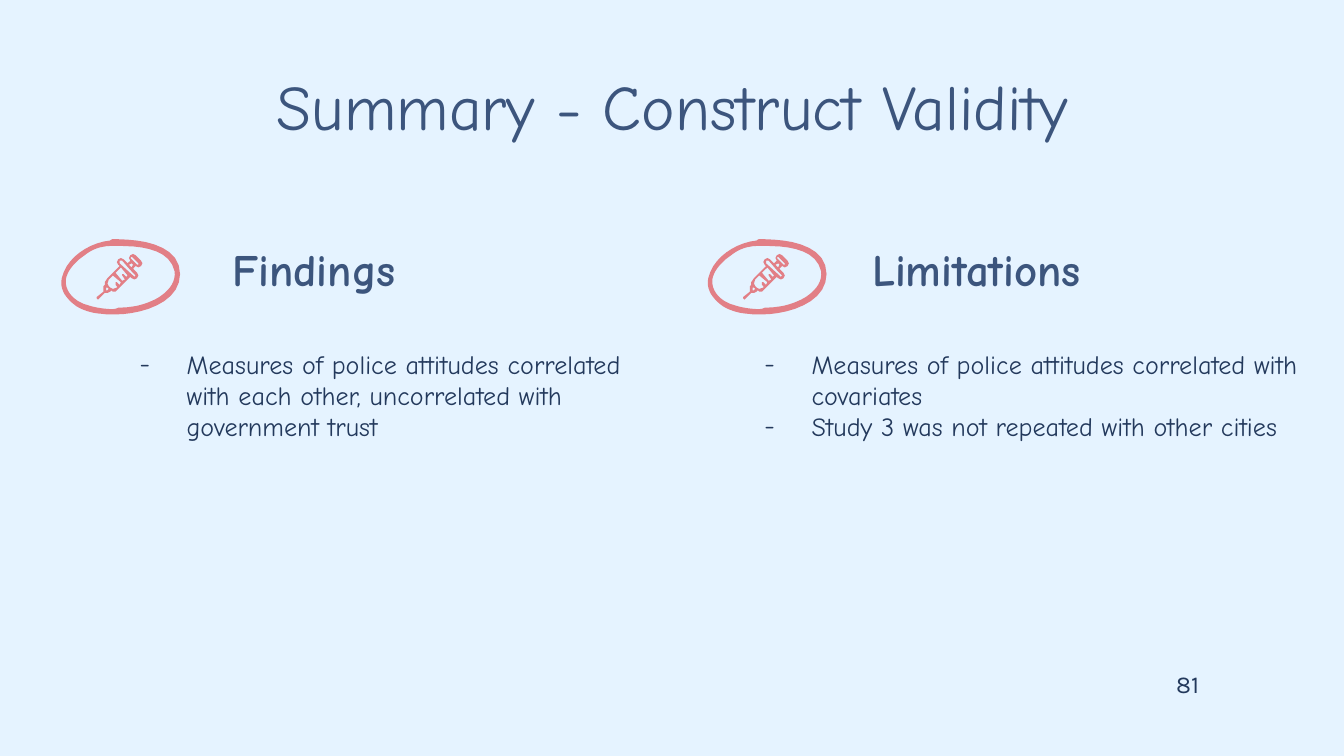
from lxml import etree
from pptx import Presentation
from pptx.dml.color import RGBColor
from pptx.enum.text import MSO_ANCHOR, PP_ALIGN
from pptx.oxml.ns import qn
from pptx.util import Inches, Pt

SKY = RGBColor(0xE5, 0xF3, 0xFF)
NAVY = RGBColor(0x23, 0x39, 0x5C)
SLATE = RGBColor(0x3C, 0x55, 0x7D)
CORAL = RGBColor(0xE2, 0x7F, 0x86)
LEFT, CENTER, RIGHT = PP_ALIGN.LEFT, PP_ALIGN.CENTER, PP_ALIGN.RIGHT
TOP, MIDDLE = MSO_ANCHOR.TOP, MSO_ANCHOR.MIDDLE
COMIC, KARLA = "Comic Neue", "Karla"

RING = [
    [(40, 0), (39, 0), (38, 1), (38, 1), (22, 3), (6, 13), (2, 29),
     (0, 38), (6, 45), (13, 50), (21, 55), (31, 56), (40, 56),
     (41, 56), (42, 56), (42, 56), (60, 56), (90, 48), (90, 26),
     (90, 2), (56, 0), (40, 0)],
    [(40, 5), (55, 5), (82, 5), (86, 24), (87, 33), (80, 40), (73, 44),
     (64, 49), (54, 51), (44, 51), (42, 52), (41, 52), (39, 52),
     (33, 52), (27, 51), (21, 49), (13, 47), (4, 40), (5, 30),
     (6, 23), (13, 16), (19, 12), (25, 7), (32, 5), (40, 5)],
]
SYRINGE = [
    [(55, 11), (53, 12), (52, 14), (53, 16), (51, 18), (48, 15), (46, 14),
     (44, 15), (43, 17), (44, 19), (45, 20), (36, 29), (34, 32), (34, 34),
     (33, 35), (33, 39), (28, 43), (28, 44), (29, 45), (30, 44), (34, 40),
     (36, 40), (38, 39), (39, 38), (40, 39), (42, 39), (44, 37), (53, 28),
     (54, 29), (56, 30), (58, 29), (59, 27), (58, 25), (55, 22), (57, 20),
     (59, 21), (61, 20), (62, 18), (61, 16), (57, 12)],
    [(54, 13), (55, 14), (59, 18), (59, 19), (58, 19), (57, 18), (54, 15), (53, 14)],
    [(54, 18), (55, 19), (54, 21), (52, 19)],
    [(46, 16), (47, 16), (53, 23), (56, 26), (57, 27), (56, 28), (55, 27),
     (45, 18), (45, 16)],
    [(46, 21), (51, 27), (50, 28), (48, 26), (47, 26), (47, 27), (49, 30),
     (47, 31), (42, 25)],
    [(40, 27), (46, 32), (45, 34), (43, 32), (42, 32), (42, 34), (43, 35),
     (43, 36), (40, 37), (38, 36), (37, 35), (36, 33), (37, 30)],
    [(36, 36), (37, 37), (36, 38), (35, 38), (35, 36)],
]


def curve(knots, steps=10):
    points = [knots[0]]
    for start in range(0, len(knots) - 1, 3):
        ends = knots[start:start + 4]
        for step in range(1, steps + 1):
            t = step / steps
            rates = ((1 - t) ** 3, 3 * t * (1 - t) ** 2, 3 * t * t * (1 - t), t ** 3)
            points.append(tuple(sum(r * p[axis] for r, p in zip(rates, ends))
                                for axis in (0, 1)))
    return points


def add_art(slide, left, top, loops):
    loops = [[(x * 10, y * 10) for x, y in loop] for loop in loops]
    pen = slide.shapes.build_freeform(*loops[0][0], scale=Inches(1) / 1000)
    for count, loop in enumerate(loops):
        if count:
            pen.move_to(*loop[0])
        pen.add_line_segments(loop[1:], close=True)
    art = pen.convert_to_shape(Inches(left), Inches(top))
    art.shadow.inherit = False
    art.fill.solid()
    art.fill.fore_color.rgb = CORAL
    art.line.fill.background()


def add_dash(para, size):
    props = para._p.get_or_add_pPr()
    props.set("marL", str(Inches(0.5)))
    props.set("indent", str(Inches(-0.35)))
    tint = etree.SubElement(props, qn("a:buClr"))
    etree.SubElement(tint, qn("a:srgbClr"), val=str(NAVY))
    etree.SubElement(props, qn("a:buSzPts"), val=str(size * 100))
    etree.SubElement(props, qn("a:buFont"), typeface=COMIC)
    etree.SubElement(props, qn("a:buChar"), char="-")


def add_text(slide, box, lines, size, color, face=COMIC, bold=False,
             align=LEFT, anchor=TOP, dash=False):
    frame = slide.shapes.add_textbox(*map(Inches, box)).text_frame
    frame.word_wrap = True
    frame.vertical_anchor = anchor
    frame.margin_left = frame.margin_right = Inches(0.1)
    frame.margin_top = frame.margin_bottom = Inches(0.1)
    frame.text = "\n".join(lines)
    for para in frame.paragraphs:
        para.alignment = align
        if dash:
            add_dash(para, size)
        font = para.font
        font.name, font.size, font.bold = face, Pt(size), bold
        font.color.rgb = color


def add_column(slide, left, top, head, head_box, items, list_box):
    add_art(slide, left, top, SYRINGE)
    add_art(slide, left, top, [curve(loop) for loop in RING])
    for lines, (x, y, width, height), style in (
            ([head], head_box, {"size": 24, "color": SLATE, "bold": True}),
            (items, list_box, {"size": 14, "color": NAVY, "dash": True})):
        add_text(slide, (left + x, top + y, width, height), lines, **style)


def main():
    deck = Presentation()
    deck.slide_width, deck.slide_height = Inches(10), Inches(10) * 9 // 16
    slide = deck.slides.add_slide(deck.slide_layouts[6])
    slide.background.fill.solid()
    slide.background.fill.fore_color.rgb = SKY
    add_text(slide, (0.79, 0.34, 8.43, 0.88), ["Summary - Construct Validity"],
             34, SLATE, align=CENTER, anchor=MIDDLE)
    add_column(slide, 0.44, 1.78, "Findings", (1.19, -0.08, 3.62, 0.47),
               ["Measures of police attitudes correlated with each other, "
                "uncorrelated with government trust"], (0.35, 0.71, 3.95, 1.38))
    add_column(slide, 5.25, 1.78, "Limitations", (1.14, -0.08, 2.39, 0.56),
               ["Measures of police attitudes correlated with covariates",
                "Study 3 was not repeated with other cities"], (0.19, 0.71, 4.34, 2.39))
    add_text(slide, (8.42, 4.88, 0.6, 0.43), ["81"], 13, NAVY, face=KARLA, align=RIGHT)
    deck.save("out.pptx")


if __name__ == "__main__":
    main()
